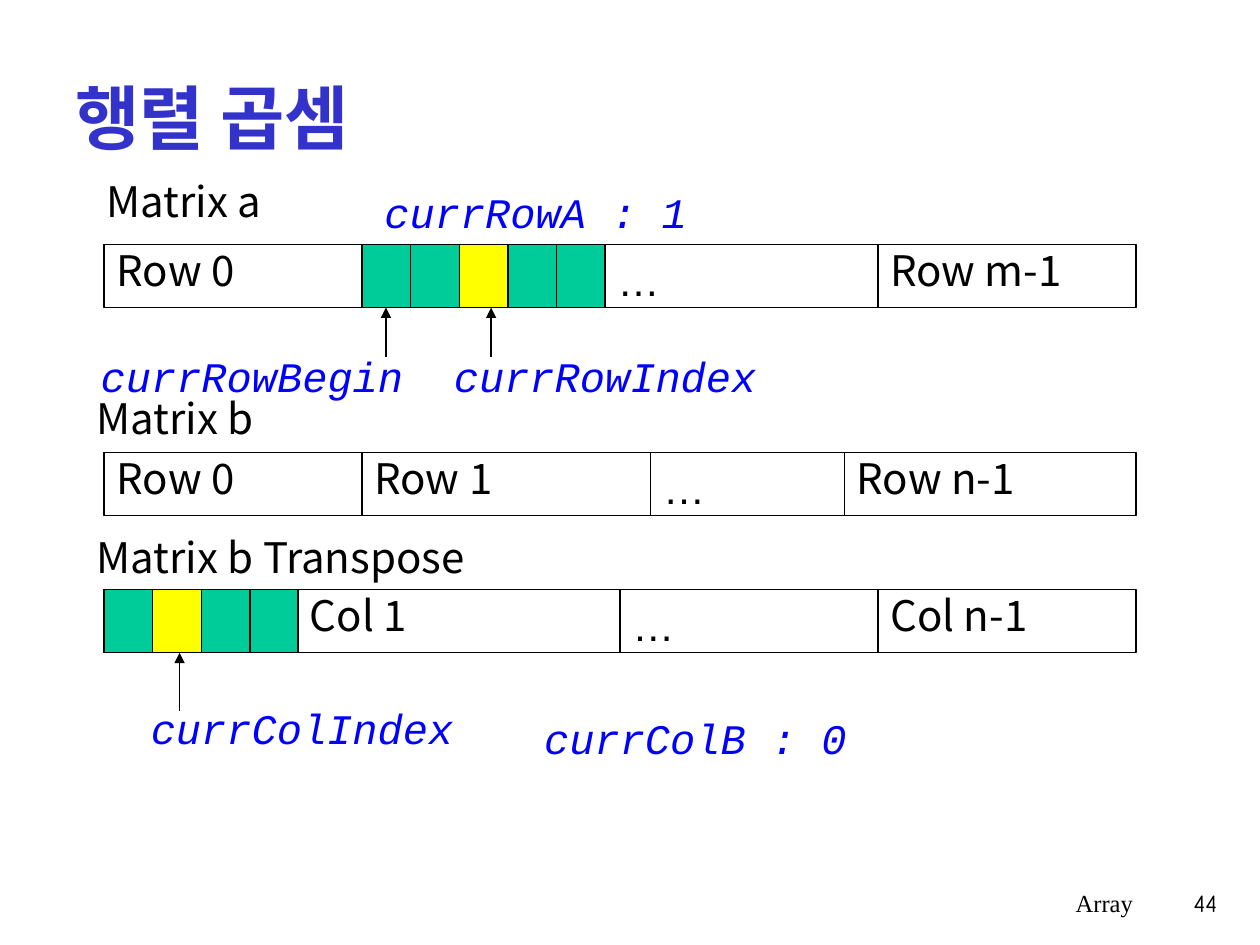
from typing import NamedTuple, Optional

from lxml.etree import SubElement
from pptx import Presentation
from pptx.dml.color import RGBColor
from pptx.enum.shapes import MSO_CONNECTOR as Connector, MSO_SHAPE as Shape
from pptx.enum.text import MSO_ANCHOR as Anchor, PP_ALIGN as Align
from pptx.oxml.ns import qn
from pptx.util import Cm, Pt

BLACK = RGBColor(0x00, 0x00, 0x00)
INDIGO = RGBColor(0x33, 0x33, 0xCC)
BLUE = RGBColor(0x00, 0x00, 0xFF)
SKY = RGBColor(0x00, 0xB0, 0xF0)
GREEN = RGBColor(0x00, 0xB0, 0x50)
TEAL = RGBColor(0x00, 0xCC, 0x99)
YELLOW = RGBColor(0xFF, 0xFF, 0x00)

SANS, DOTS, CODE = "Noto Sans CJK KR", "Arial", "Courier New"
SERIF, DIGITS = "Times New Roman", "Comic Neue"
# Top insets in cm that put the different fonts on one baseline
TOP_INSET = {SANS: 0, DOTS: 0.2, CODE: 0.24, SERIF: 0.13, DIGITS: 0.13}

ROW_LEFT, ROW_HEIGHT, CELL_WIDTH = 2.1, 1.27, 0.98
LINE_WIDTH = Pt(0.75)


class Segment(NamedTuple):
    width: float
    text: str = ""
    fill: Optional[RGBColor] = None
    cells: tuple[RGBColor, ...] = ()


class MatrixRow(NamedTuple):
    top: float
    segments: tuple[Segment, ...]


class Label(NamedTuple):
    text: str
    left: float
    top: float
    width: float
    font: str = SANS
    color: RGBColor = BLACK
    size: int = 24
    align: Align = Align.LEFT


class Pointer(NamedTuple):
    x: float
    bottom: float
    top: float


MATRIX_ROWS = (
    MatrixRow(4.93, (
        Segment(5.2, "Row 0"),
        Segment(4.9, fill=SKY, cells=(TEAL, TEAL, YELLOW, TEAL, TEAL)),
        Segment(5.5, "…"),
        Segment(5.2, "Row m-1"),
    )),
    MatrixRow(9.12, (
        Segment(5.2, "Row 0"),
        Segment(5.82, "Row 1"),
        Segment(3.9, "…"),
        Segment(5.88, "Row n-1"),
    )),
    MatrixRow(11.89, (
        Segment(3.9, fill=GREEN, cells=(TEAL, YELLOW, TEAL, TEAL)),
        Segment(6.5, "Col 1"),
        Segment(5.2, "…"),
        Segment(5.2, "Col n-1"),
    )),
)

LABELS = (
    Label("Matrix a", 1.9, 3.53, 5.2),
    Label("Matrix b", 1.7, 7.92, 5.2),
    Label("Matrix b Transpose", 1.7, 10.72, 8.36),
    Label("currRowA : 1", 7.5, 3.53, 6.93, CODE, BLUE),
    Label("currRowBegin", 1.78, 6.83, 7.09, CODE, BLUE),
    Label("currRowIndex", 8.9, 6.83, 7.95, CODE, BLUE),
    Label("currColIndex", 2.79, 13.92, 8.23, CODE, BLUE),
    Label("currColB : 0", 10.72, 14.12, 7.11, CODE, BLUE),
    Label("Array", 15.04, 17.78, 8.05, SERIF, size=14, align=Align.RIGHT),
    Label("44", 22.63, 17.78, 2.16, DIGITS, size=14, align=Align.RIGHT),
)

POINTERS = (
    Pointer(7.78, 7.2, 6.2),
    Pointer(9.9, 7.2, 6.2),
    Pointer(3.62, 14.33, 13.16),
)


def write(frame, text: str, font: str, color: RGBColor, size: int, align: Align) -> None:
    frame.word_wrap = True
    frame.vertical_anchor = Anchor.TOP
    frame.margin_top, frame.margin_bottom = Cm(TOP_INSET[font]), 0
    frame.text = text
    paragraph = frame.paragraphs[0]
    paragraph.alignment = align
    style = paragraph.runs[0].font
    style.name, style.size, style.color.rgb = font, Pt(size), color
    if font == CODE:
        style.italic = True


def add_box(slide, left: float, top: float, width: float, fill: Optional[RGBColor]):
    box = slide.shapes.add_shape(
        Shape.RECTANGLE, Cm(left), Cm(top), Cm(width), Cm(ROW_HEIGHT))
    box.shadow.inherit = False
    box.line.color.rgb, box.line.width = BLACK, LINE_WIDTH
    if fill is None:
        box.fill.background()
    else:
        box.fill.solid()
        box.fill.fore_color.rgb = fill
    return box


def add_matrix_row(slide, row: MatrixRow) -> None:
    left = ROW_LEFT
    for segment in row.segments:
        box = add_box(slide, left, row.top, segment.width, segment.fill)
        if segment.text:
            font = DOTS if segment.text == "…" else SANS
            write(box.text_frame, segment.text, font, BLACK, 24, Align.LEFT)
        for index, color in enumerate(segment.cells):
            add_box(slide, left + index * CELL_WIDTH, row.top, CELL_WIDTH, color)
        left += segment.width


def add_label(slide, label: Label) -> None:
    box = slide.shapes.add_textbox(
        Cm(label.left), Cm(label.top), Cm(label.width), Cm(ROW_HEIGHT))
    write(box.text_frame, label.text, label.font, label.color, label.size, label.align)


def add_pointer(slide, pointer: Pointer) -> None:
    arrow = slide.shapes.add_connector(
        Connector.STRAIGHT, Cm(pointer.x), Cm(pointer.bottom),
        Cm(pointer.x), Cm(pointer.top))
    arrow.line.color.rgb, arrow.line.width = BLACK, LINE_WIDTH
    SubElement(arrow.line._get_or_add_ln(), qn("a:tailEnd"), type="triangle")
    SubElement(arrow._element.spPr, qn("a:effectLst"))


def set_title(slide, text: str) -> None:
    title = slide.shapes.title
    title.left, title.top = Cm(1.27), Cm(0.76)
    title.width, title.height = Cm(22.86), Cm(3.18)
    title.text_frame.text = text
    title.text_frame.vertical_anchor = Anchor.MIDDLE
    paragraph = title.text_frame.paragraphs[0]
    paragraph.alignment = Align.LEFT
    run = paragraph.runs[0]
    run.font.name, run.font.size, run.font.bold = SERIF, Pt(40), True
    run.font.color.rgb = INDIGO
    SubElement(run.font._element, qn("a:ea"), typeface=SANS)


def main() -> None:
    deck = Presentation()
    deck.slide_width, deck.slide_height = Cm(25.4), Cm(19.05)
    slide = deck.slides.add_slide(deck.slide_layouts[5])
    set_title(slide, "행렬 곱셈")
    for row in MATRIX_ROWS:
        add_matrix_row(slide, row)
    for pointer in POINTERS:
        add_pointer(slide, pointer)
    for label in LABELS:
        add_label(slide, label)
    deck.save("out.pptx")


if __name__ == "__main__":
    main()
